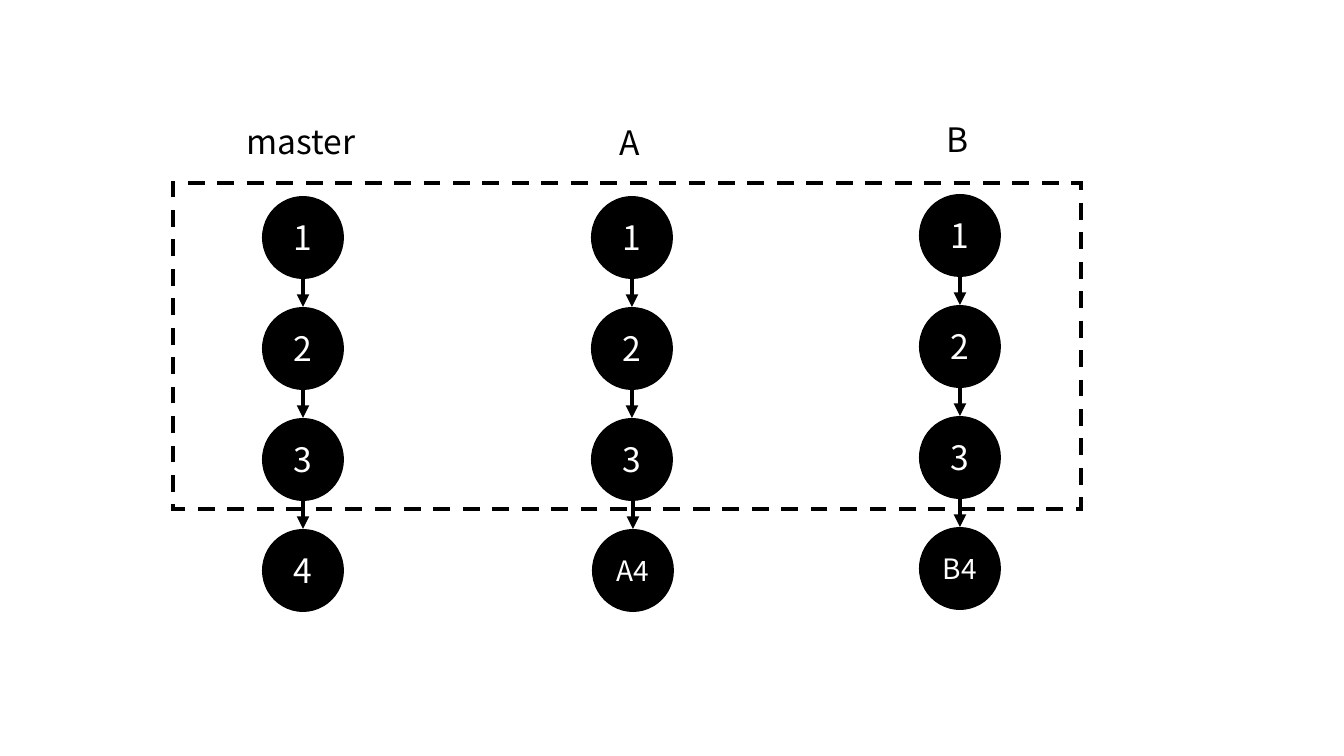
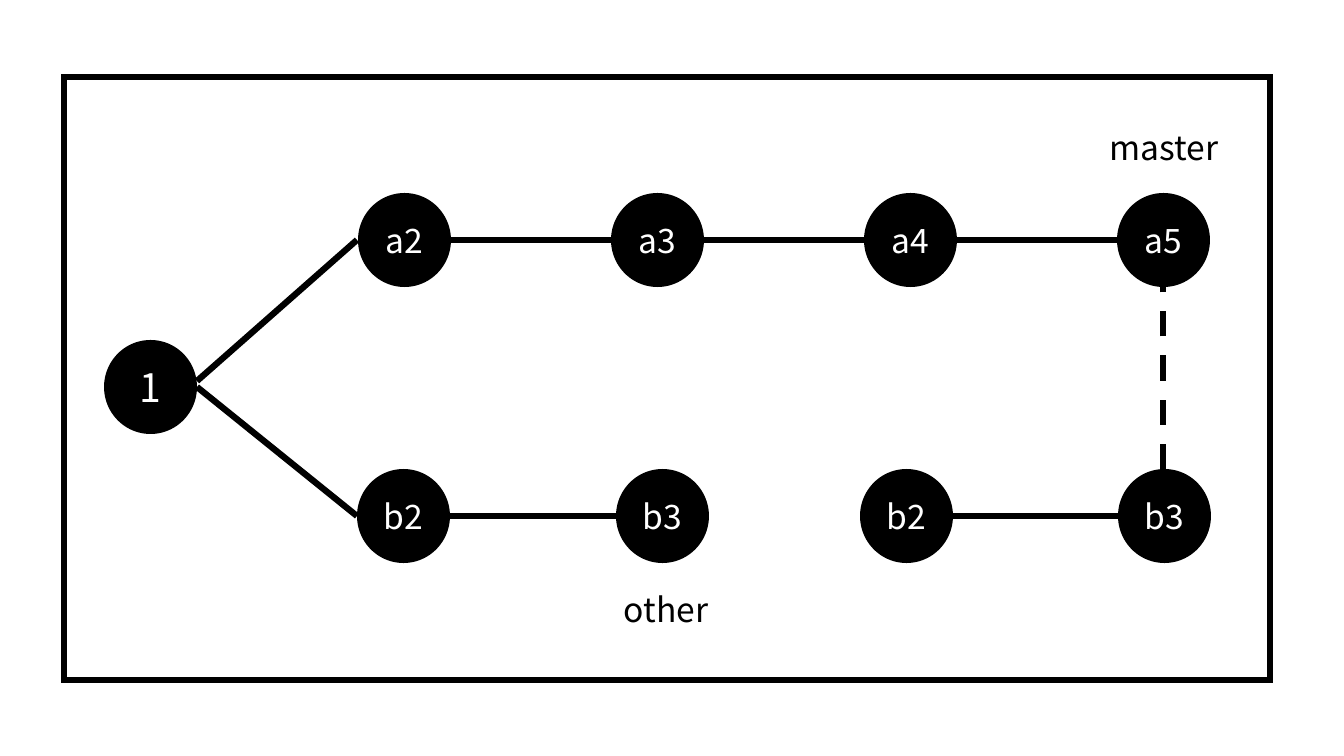
from itertools import pairwise

from lxml.etree import SubElement
from pptx import Presentation
from pptx.dml.color import RGBColor
from pptx.enum.dml import MSO_LINE
from pptx.enum.shapes import MSO_CONNECTOR, MSO_SHAPE
from pptx.enum.text import MSO_ANCHOR, MSO_AUTO_SIZE, PP_ALIGN
from pptx.oxml.ns import qn
from pptx.util import Pt

PX = 914400 / 100.8
COLORS = {"ink": "000000", "paper": "FFFFFF"}
FONT = "Noto Sans CJK KR"


def px(*lengths):
    return [round(n * PX) for n in lengths]


def rgb(name):
    return RGBColor.from_string(COLORS[name])


def write(tf, text, size=24, color="ink"):
    p = tf.paragraphs[0]
    p.alignment = PP_ALIGN.CENTER
    r = p.add_run()
    r.text = text
    r.font.name = FONT
    r.font.size = Pt(size)
    r.font.color.rgb = rgb(color)


class Deck:
    """Draw black and white commit graphs, one slide at a time."""

    def __init__(self, width, height):
        self.prs = Presentation()
        self.prs.slide_width, self.prs.slide_height = px(width, height)

    def slide(self, node_size, weight):
        self.s = self.prs.slides.add_slide(self.prs.slide_layouts[6])
        self.node_size, self.weight = node_size, weight

    def stroke(self, sp, dash):
        sp.line.color.rgb = rgb("ink")
        sp.line.width = Pt(self.weight)
        if dash:
            sp.line.dash_style = MSO_LINE.DASH
        return sp.line._get_or_add_ln()

    def node(self, x, y, text, size=24):
        sp = self.s.shapes.add_shape(MSO_SHAPE.OVAL, *px(x, y, *self.node_size))
        sp.shadow.inherit = False
        sp.fill.solid()
        sp.fill.fore_color.rgb = rgb("ink")
        sp.line.fill.background()
        sp.text_frame.vertical_anchor = MSO_ANCHOR.MIDDLE
        write(sp.text_frame, text, size, "paper")

    def label(self, x, y, width, text):
        tf = self.s.shapes.add_textbox(*px(x, y, width, 50)).text_frame
        tf.word_wrap = True
        tf.auto_size = MSO_AUTO_SIZE.SHAPE_TO_FIT_TEXT
        write(tf, text)

    def line(self, x1, y1, x2, y2, dash=False, arrow=False):
        sp = self.s.shapes.add_connector(MSO_CONNECTOR.STRAIGHT, *px(x1, y1, x2, y2))
        ln = self.stroke(sp, dash)
        if arrow:
            SubElement(ln, qn("a:tailEnd"), type="triangle")
        SubElement(sp._element.spPr, qn("a:effectLst"))

    def frame(self, x, y, width, height, dash=False):
        sp = self.s.shapes.add_shape(MSO_SHAPE.RECTANGLE, *px(x, y, width, height))
        sp.shadow.inherit = False
        sp.fill.background()
        SubElement(self.stroke(sp, dash), qn("a:miter"), lim="800000")


def branches_slide(deck):
    deck.slide(node_size=(82, 83), weight=3)
    step = 111
    branches = [
        ("master", 262, 196, 116, "4", 24, 0),
        ("A", 591, 196, 117, "A4", 20, 1),
        ("B", 919, 194, 114, "B4", 20, 0),
    ]
    for name, x, top, label_top, last, last_size, shift in branches:
        deck.label(x - 76, label_top, 230, name)
        for i, text in enumerate("123"):
            y = top + i * step
            deck.node(x, y, text)
            arrow_x = x + 41 + (shift if i == 2 else 0)
            deck.line(arrow_x, y + 83, arrow_x, y + step, arrow=True)
        deck.node(x + shift, top + 3 * step, last, last_size)
    deck.frame(173, 183, 908, 326, dash=True)


def rebase_slide(deck):
    deck.slide(node_size=(93, 94), weight=4.5)
    master_top, other_top = 193, 469
    rows = [
        (master_top, [(f"a{i + 2}", 358 + 253 * i) for i in range(4)]),
        (other_top, [("b2", 357), ("b3", 616)]),
        (other_top, [("b2", 860), ("b3", 1118)]),
    ]
    deck.node(104, 340, "1", 28)
    deck.line(197, 381, 357, master_top + 47)
    deck.line(197, 387, 357, other_top + 47)
    for top, nodes in rows:
        for text, x in nodes:
            deck.node(x, top, text)
        for (_, left), (_, right) in pairwise(nodes):
            deck.line(left + 93, top + 47, right, top + 47)
    deck.line(1163, other_top, 1163, master_top + 94, dash=True)
    deck.label(1088, 122, 152, "master")
    deck.label(600, 584, 132, "other")
    deck.frame(64, 77, 1206, 603)


deck = Deck(1344, 756)
branches_slide(deck)
rebase_slide(deck)
deck.prs.save("out.pptx")
